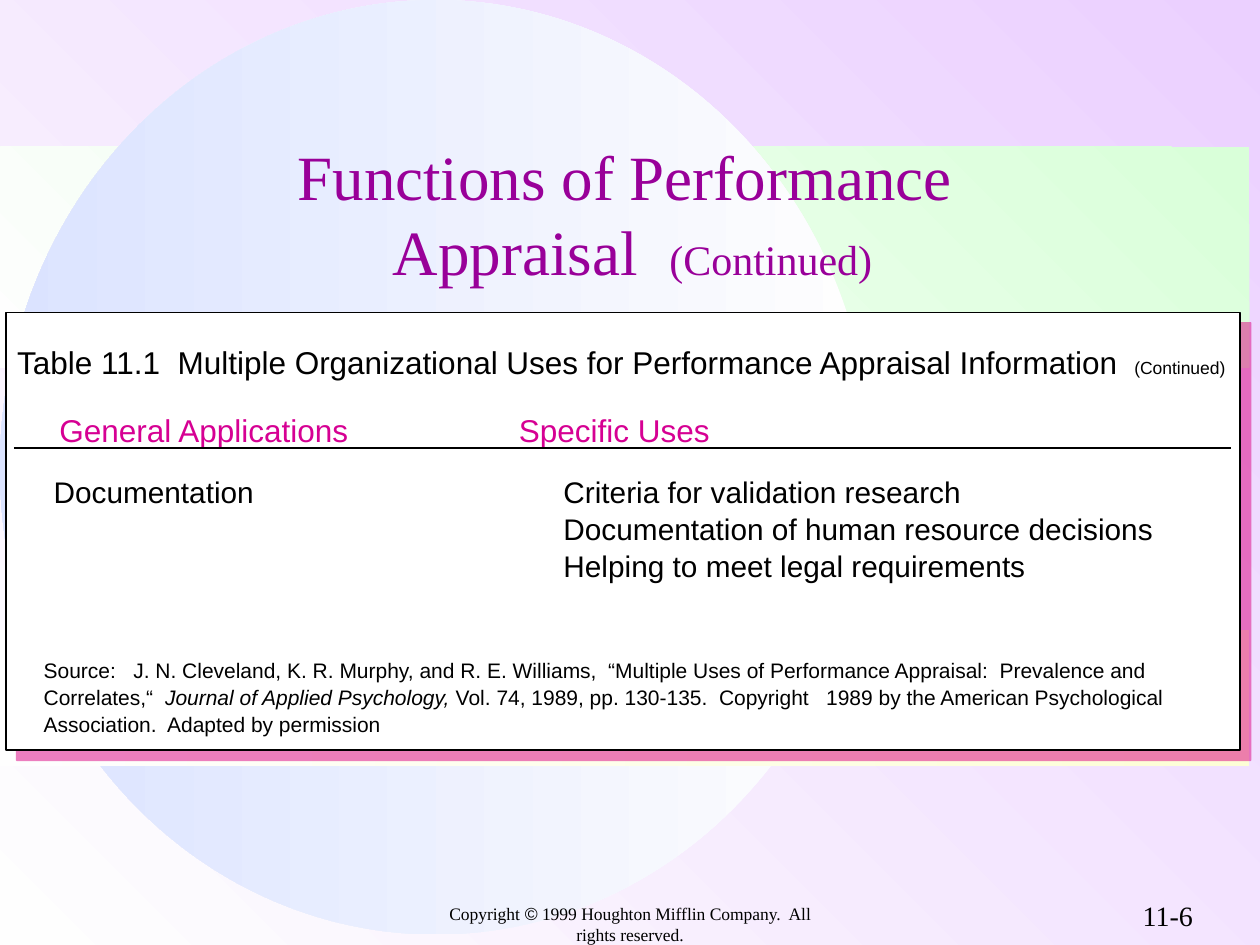
from lxml import etree
from pptx import Presentation
from pptx.dml.color import RGBColor
from pptx.enum.shapes import MSO_CONNECTOR, MSO_SHAPE
from pptx.enum.text import MSO_ANCHOR as ANCHOR, PP_ALIGN as ALIGN
from pptx.oxml import parse_xml
from pptx.oxml.ns import nsdecls, qn
from pptx.util import Pt

COLORS = {
    "lilac": "EBD0FF", "green": "D9FFD9", "blue": "DBE3FF", "yellow": "FDFED6",
    "pale": "FEFEFE", "white": "FFFFFF", "black": "000000",
    "purple": "990099", "pink": "D60093", "shadow": "DC0081",
}
SANS, SERIF = "Arial", "Times New Roman"


def set_gradient(fill, start, end, angle):
    fill.gradient()
    fill.gradient_angle = angle
    for stop, name, position in zip(fill.gradient_stops, (start, end), (0, 1)):
        stop.color.rgb = RGBColor.from_string(COLORS[name])
        stop.position = position


def add_text(text, left, top, width, height, size, font=SANS, color="black",
             align=ALIGN.LEFT, anchor=ANCHOR.TOP, gap=0):
    """Each line of text is a string or a list of (string, font changes)."""
    box = page.shapes.add_textbox(Pt(left), Pt(top), Pt(width), Pt(height))
    frame = box.text_frame
    frame.margin_left = frame.margin_right = frame.margin_top = frame.margin_bottom = 0
    frame.word_wrap = False
    frame.vertical_anchor = anchor
    for index, line in enumerate([text] if isinstance(text, str) else text):
        para = frame.add_paragraph() if index else frame.paragraphs[0]
        para.alignment = align
        para.space_after = Pt(gap)
        for words, changes in [(line, {})] if isinstance(line, str) else line:
            span = para.add_run()
            span.text = words
            span.font.name = changes.get("font", font)
            span.font.size = Pt(changes.get("size", size))
            span.font.italic = changes.get("italic", False)
            span.font.color.rgb = RGBColor.from_string(COLORS[color])


deck = Presentation()
deck.slide_width, deck.slide_height = Pt(720), Pt(540)
page = deck.slides.add_slide(deck.slide_layouts[6])

# Background and decorative shapes
set_gradient(page.background.fill, "lilac", "pale", 225)
for kind, left, top, width, height, start, end, angle in [
    (MSO_SHAPE.RECTANGLE, 0, 84, 714, 126, "green", "pale", 225),
    (MSO_SHAPE.OVAL, 0, 0, 498, 534, "pale", "blue", 180),
    (MSO_SHAPE.RECTANGLE, 0, 360, 714, 78, "yellow", "pale", 180),
]:
    shape = page.shapes.add_shape(kind, Pt(left), Pt(top), Pt(width), Pt(height))
    shape.shadow.inherit = False
    shape.line.fill.background()
    set_gradient(shape.fill, start, end, angle)

# Footer
add_text([[("Copyright", {}), (" ©", {"font": SANS}),
           (" 1999 Houghton Mifflin Company.  All rights reserved.", {})]],
         246, 522, 228, 12, 10, SERIF, align=ALIGN.CENTER, anchor=ANCHOR.MIDDLE)
add_text("11-6", 653, 513.5, 40, 19, 16, SERIF)

# White card with a pink shadow
card = page.shapes.add_shape(MSO_SHAPE.RECTANGLE, Pt(3.6), Pt(178.5), Pt(705), Pt(250))
card.fill.solid()
card.fill.fore_color.rgb = RGBColor.from_string(COLORS["white"])
card.line.color.rgb = RGBColor.from_string(COLORS["black"])
card.line.width = Pt(1)
card.shadow.inherit = False
effects = card._element.spPr.find(qn("a:effectLst"))
effects.append(parse_xml(
    f'<a:outerShdw {nsdecls("a")} dist="{Pt(8.5)}" dir="2700000" algn="ctr" rotWithShape="0">'
    f'<a:srgbClr val="{COLORS["shadow"]}"><a:alpha val="50000"/></a:srgbClr></a:outerShdw>'))

# Slide title
add_text(["Functions of Performance ", [("Appraisal  ", {}), ("(Continued)", {"size": 24})]],
         5, 103, 713, 37, 36, SERIF, "purple", ALIGN.CENTER, ANCHOR.MIDDLE)

# Table title
add_text([[("Table 11.1  Multiple Organizational Uses for Performance Appraisal Information ", {}),
           (" ", {"size": 16}), ("(Continued)", {"size": 10})]],
         0, 194.5, 710, 25, 18, align=ALIGN.CENTER, anchor=ANCHOR.MIDDLE)

# Column headings and the rule below them
add_text("General Applications", 34, 235, 200, 21, 18, color="pink")
add_text("Specific Uses", 296.6, 235, 150, 21, 18, color="pink")
rule = page.shapes.add_connector(MSO_CONNECTOR.STRAIGHT, Pt(8), Pt(256), Pt(703.5), Pt(256))
rule.line.color.rgb = RGBColor.from_string(COLORS["black"])
rule.line.width = Pt(1)
etree.SubElement(rule._element.spPr, qn("a:effectLst"))

# Table entries
add_text("Documentation", 30.6, 270.8, 150, 20, 17)
add_text(["Criteria for validation research",
          "Documentation of human resource decisions",
          "Helping to meet legal requirements"], 322, 270.8, 360, 61, 17, gap=0.8)

# Source note
add_text(["Source:   J. N. Cleveland, K. R. Murphy, and R. E. Williams,  “Multiple Uses of "
          "Performance Appraisal:  Prevalence and",
          [("Correlates,“  ", {}), ("Journal of Applied Psychology, ", {"italic": True}),
           ("Vol. 74, 1989, pp. 130-135.  Copyright   1989 by the American Psychological", {})],
          "Association.  Adapted by permission"], 25, 376, 643, 44, 12, gap=0.8)

deck.save("out.pptx")
